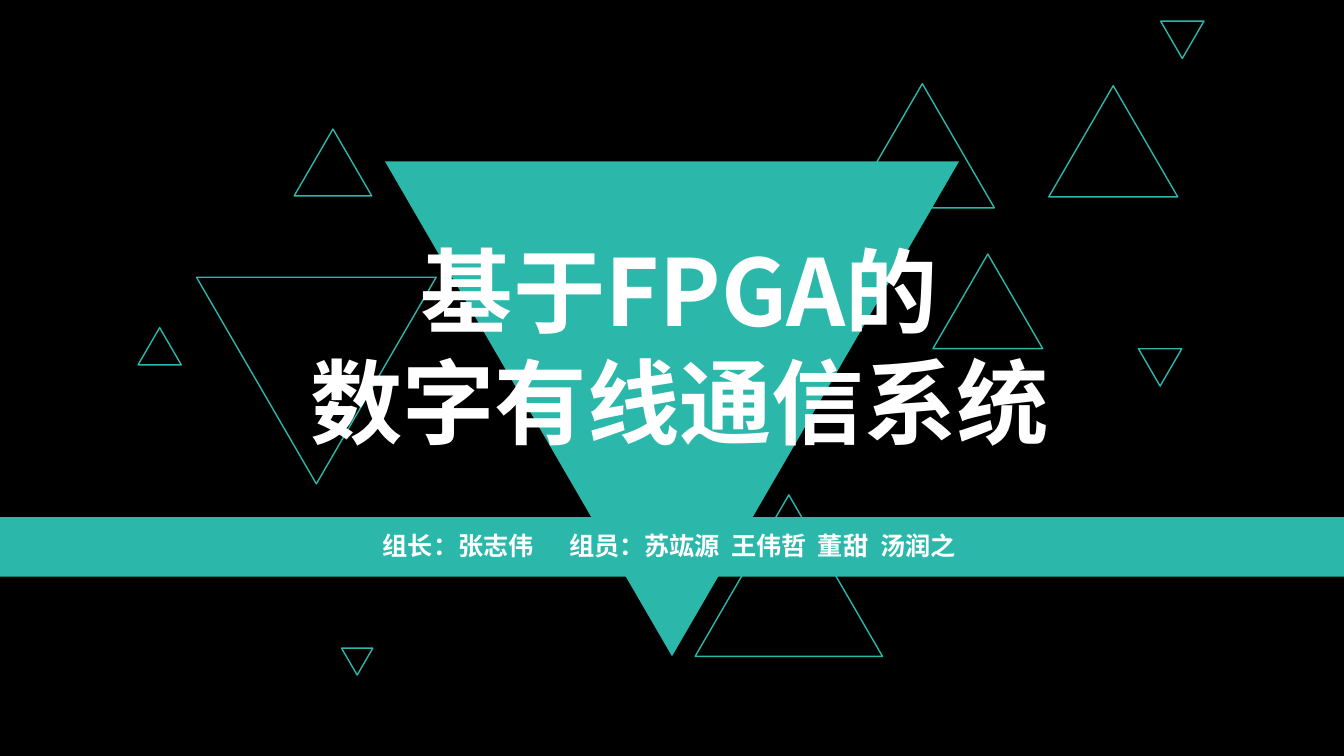
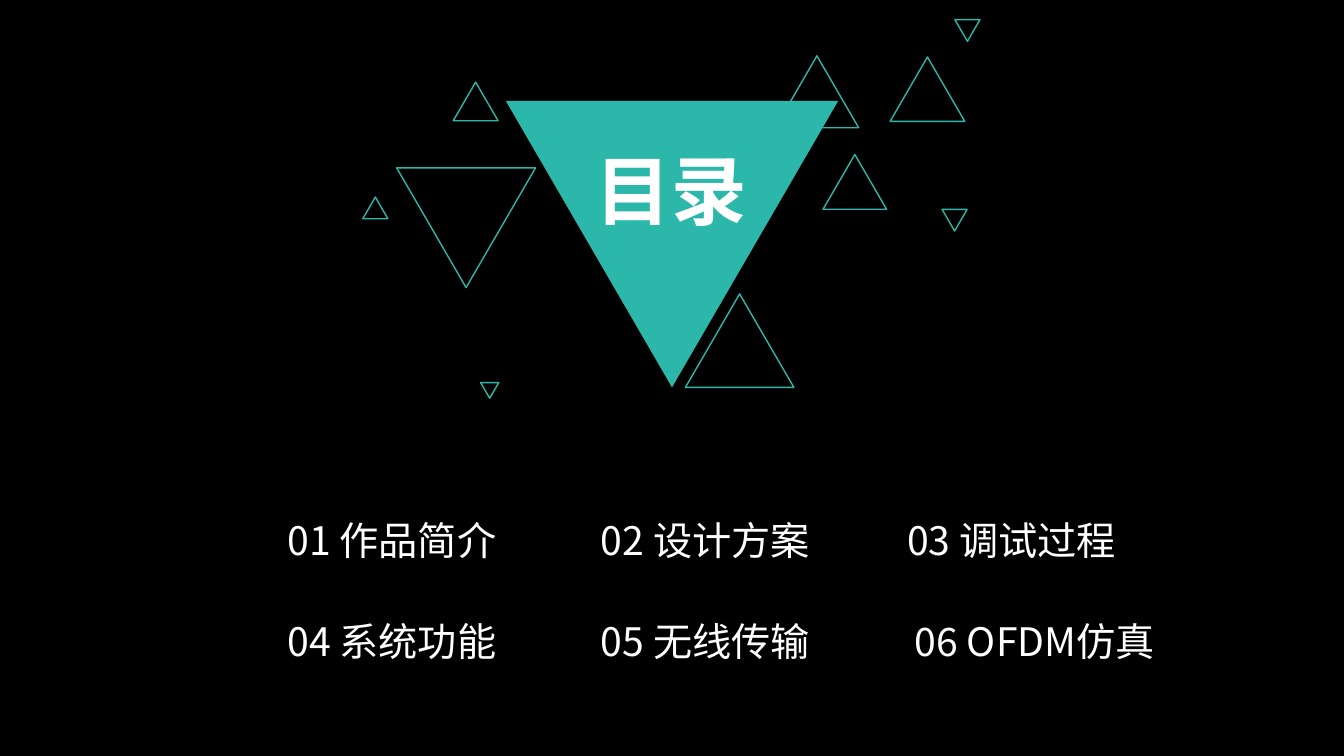
from lxml import etree
from pptx import Presentation
from pptx.dml.color import RGBColor
from pptx.enum import shapes, text
from pptx.oxml import ns
from pptx.util import Inches, Pt

BLACK = RGBColor(0x00, 0x00, 0x00)
TEAL = RGBColor(0x2B, 0xB8, 0xAA)
WHITE = RGBColor(0xFF, 0xFF, 0xFF)
FONT = "Noto Sans CJK SC"
SLIDE_WIDTH, SLIDE_HEIGHT = 13.34, 7.5

TRIANGLE_RATIO = 0.8615  # height / width
MAIN_WIDTH = 5.7
# Left and top relative to the main triangle, width, points down
OUTLINE_TRIANGLES = [
    (-1.87, 1.15, 2.38, True),
    (3.08, 3.31, 1.86, False),
    (4.62, -0.77, 1.43, False),
    (5.44, 0.92, 1.09, False),
    (-0.9, -0.32, 0.77, False),
    (-2.45, 1.65, 0.43, False),
    (7.48, 1.86, 0.43, True),
    (-0.43, 4.83, 0.31, True),
    (6.59, -0.75, 1.28, False),
    (7.7, -1.39, 0.43, True),
]

# Row top, then the centre and text of each entry
AGENDA = [
    (5.07, [(3.89, "01 作品简介"), (7.0, "02 设计方案"), (10.04, "03 调试过程")]),
    (6.08, [(3.89, "04 系统功能"), (7.0, "05 无线传输"), (10.27, "06 OFDM仿真")]),
]
ENTRY_WIDTH, ENTRY_HEIGHT = 3.41, 0.57


def add_slide(presentation):
    slide = presentation.slides.add_slide(presentation.slide_layouts[6])
    slide.background.fill.solid()
    slide.background.fill.fore_color.rgb = BLACK
    return slide


def add_shape(slide, kind, left, top, width, height, fill=None):
    """Add a filled shape, or a thin teal outline when there is no fill."""
    shape = slide.shapes.add_shape(
        kind, Inches(left), Inches(top), Inches(width), Inches(height))
    shape.shadow.inherit = False
    if fill is None:
        shape.fill.background()
        shape.line.color.rgb = TEAL
        shape.line.width = Pt(1)
    else:
        shape.fill.solid()
        shape.fill.fore_color.rgb = fill
        shape.line.fill.background()
    return shape


def add_triangle(slide, left, top, width, down=False, fill=None):
    triangle = add_shape(slide, shapes.MSO_SHAPE.ISOSCELES_TRIANGLE,
                         left, top, width, width * TRIANGLE_RATIO, fill)
    triangle.rotation = 180 if down else 0


def add_triangle_cluster(slide, left, top, width):
    """Draw the main triangle in the given box and the outlines around it."""
    scale = width / MAIN_WIDTH
    add_triangle(slide, left, top, width, down=True, fill=TEAL)
    for x, y, side, down in OUTLINE_TRIANGLES:
        add_triangle(slide, left + x * scale, top + y * scale, side * scale, down)


def add_tab_stops(paragraph, positions):
    tab_list = etree.SubElement(paragraph._p.get_or_add_pPr(), ns.qn("a:tabLst"))
    for position in positions:
        etree.SubElement(tab_list, ns.qn("a:tab"),
                         pos=str(Inches(position)), algn="l")


def add_text(slide, content, left, top, width, height, size=28, bold=False,
             align=text.PP_ALIGN.CENTER, tabs=()):
    """Add a white text box with one paragraph for each line of content."""
    box = slide.shapes.add_textbox(
        Inches(left), Inches(top), Inches(width), Inches(height))
    frame = box.text_frame
    frame.word_wrap = True
    frame.auto_size = text.MSO_AUTO_SIZE.SHAPE_TO_FIT_TEXT
    for index, line in enumerate(content.split("\n")):
        paragraph = frame.add_paragraph() if index else frame.paragraphs[0]
        paragraph.alignment = align
        if tabs:
            add_tab_stops(paragraph, tabs)
        run = paragraph.add_run()
        run.text = line
        run.font.size = Pt(size)
        run.font.bold = bold
        run.font.color.rgb = WHITE
        run.font.name = FONT
        etree.SubElement(run._r.get_or_add_rPr(), ns.qn("a:ea"), typeface=FONT)


def add_team_band(slide, top, height):
    add_shape(slide, shapes.MSO_SHAPE.RECTANGLE, 0, top, SLIDE_WIDTH, height, TEAL)
    add_text(slide, "组长：张志伟\t组员：苏竑源\t王伟哲\t董甜\t汤润之",
             3.7, top + 0.08, 6.53, 0.4, size=18, bold=True,
             align=text.PP_ALIGN.LEFT, tabs=(1.85, 3.46, 4.32, 4.94))


def add_agenda(slide):
    for top, entries in AGENDA:
        for centre, entry in entries:
            add_text(slide, entry, centre - ENTRY_WIDTH / 2, top,
                     ENTRY_WIDTH, ENTRY_HEIGHT)


def build_cover(presentation):
    slide = add_slide(presentation)
    add_triangle_cluster(slide, 3.82, 1.6, MAIN_WIDTH)
    add_text(slide, "基于FPGA的\n数字有线通信系统", 1.38, 2.27, 10.73, 2.32,
             size=66, bold=True)
    add_team_band(slide, 5.13, 0.59)


def build_contents(presentation):
    slide = add_slide(presentation)
    add_triangle_cluster(slide, 5.02, 1, 3.3)
    add_text(slide, "目录", 4.15, 1.38, 5.03, 1.01, size=54, bold=True)
    add_agenda(slide)


def main():
    presentation = Presentation()
    presentation.slide_width = Inches(SLIDE_WIDTH)
    presentation.slide_height = Inches(SLIDE_HEIGHT)
    build_cover(presentation)
    build_contents(presentation)
    presentation.save("out.pptx")


if __name__ == "__main__":
    main()
